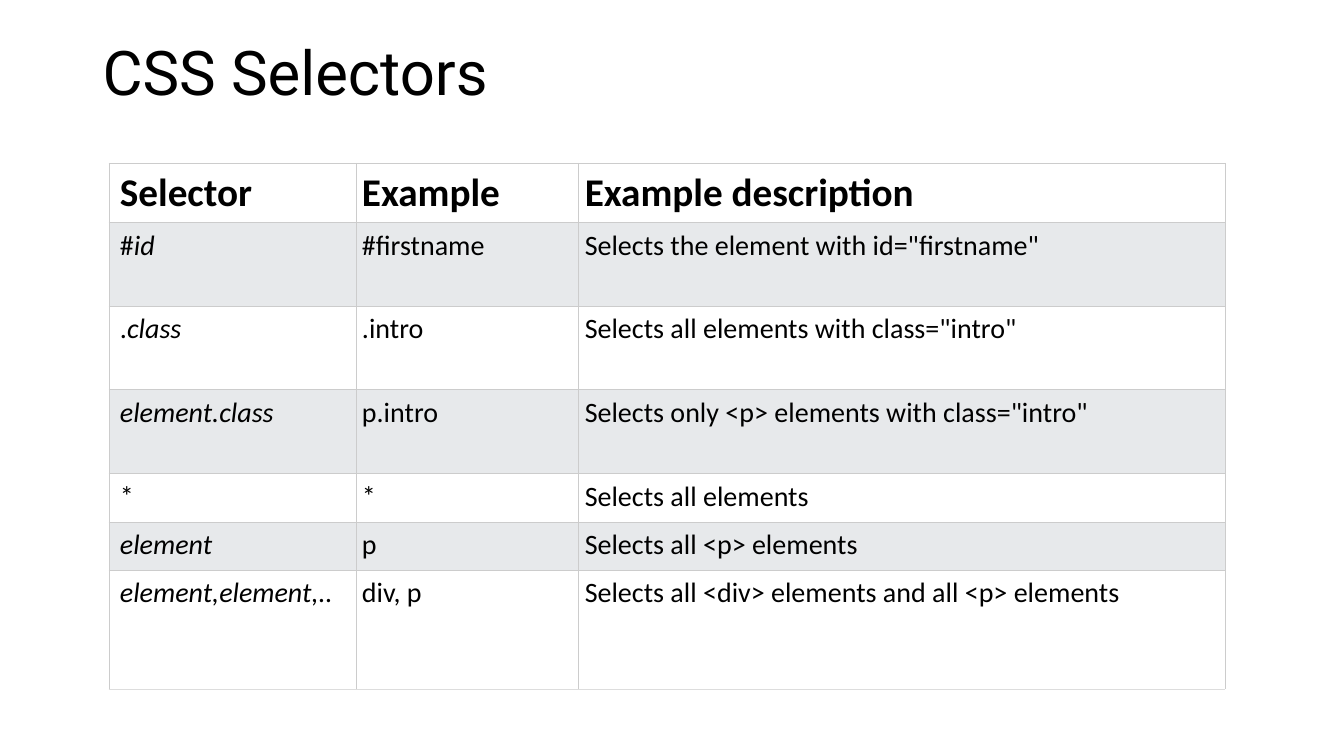
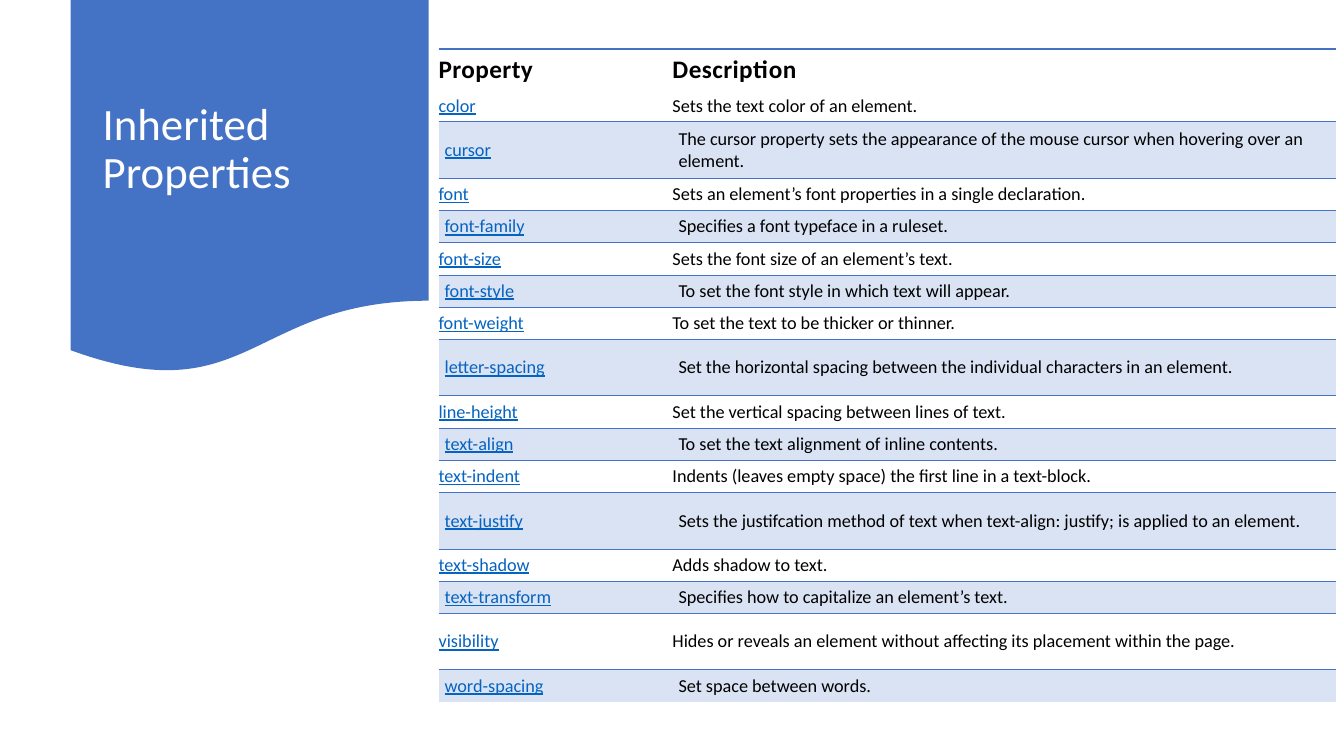
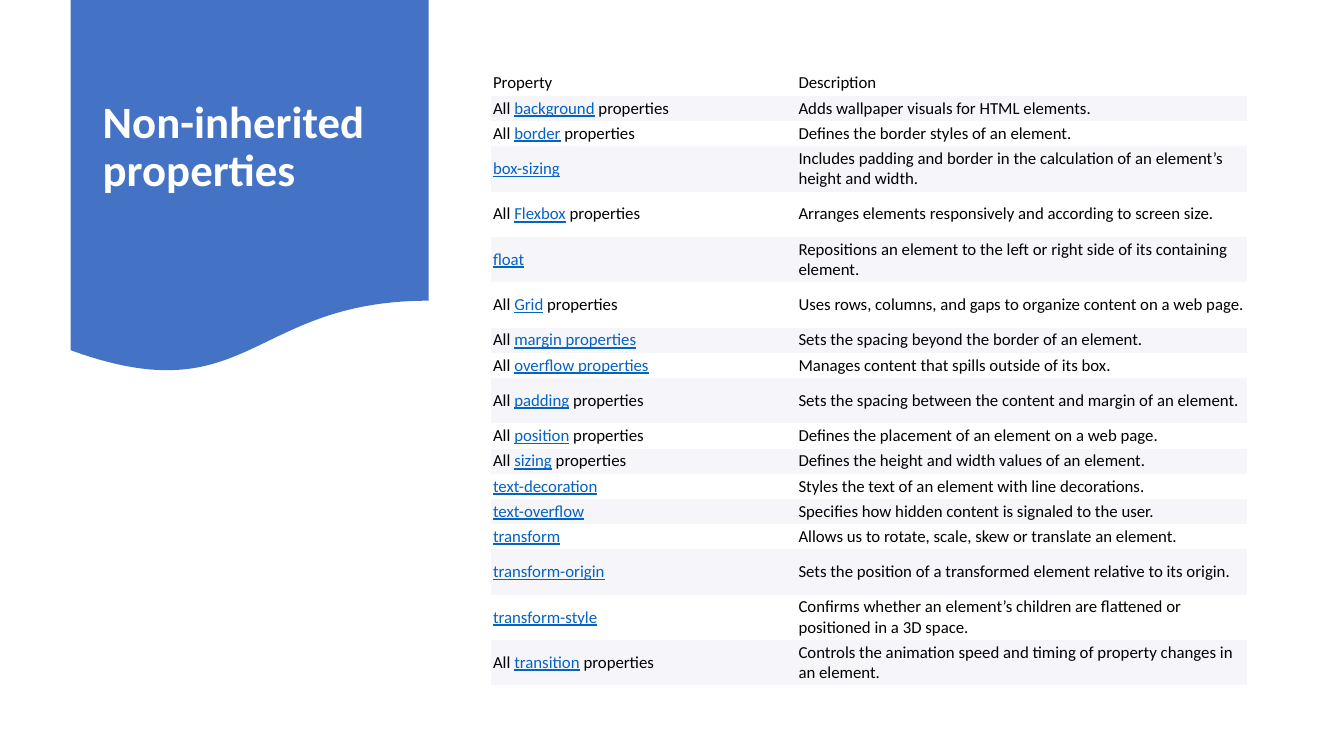
from pptx import Presentation
from pptx import util as u
from pptx.dml.color import RGBColor
from pptx.enum import shapes, text
from pptx.oxml.ns import qn
from lxml import etree

BLUE, BLACK, WHITE, LINK = "4472C4", "000000", "FFFFFF", "0563C1"
GREY, PALE_BLUE, PALE_LILAC = "E7E9EB", "DAE3F3", "F6F5FA"
NO_STYLE = "{2D5ABB26-0587-4C30-8999-92F81FD0307C}"
SIDES = "LRTB"

SELECTORS = [
    ("Selector", "Example", "Example description"),
    ("#[id]", "#firstname", 'Selects the element with id="firstname"'),
    (".[class]", ".intro", 'Selects all elements with class="intro"'),
    ("[element.class]", "p.intro", 'Selects only <p> elements with class="intro"'),
    ("*", "*", "Selects all elements"),
    ("[element]", "p", "Selects all <p> elements"),
    ("[element,element,..]", "div, p", "Selects all <div> elements and all <p> elements"),
]

INHERITED = [
    ("Property", "Description"),
    ("[color]", "Sets the text color of an element."),
    ("[cursor]", "The cursor property sets the appearance of the mouse cursor when hovering over an element."),
    ("[font]", "Sets an element’s font properties in a single declaration."),
    ("[font-family]", "Specifies a font typeface in a ruleset."),
    ("[font-size]", "Sets the font size of an element’s text."),
    ("[font-style]", "To set the font style in which text will appear."),
    ("[font-weight]", "To set the text to be thicker or thinner."),
    ("[letter-spacing]", "Set the horizontal spacing between the individual characters in an element."),
    ("[line-height]", "Set the vertical spacing between lines of text."),
    ("[text-align]", "To set the text alignment of inline contents."),
    ("[text-indent]", "Indents (leaves empty space) the first line in a text-block."),
    ("[text-justify]", "Sets the justifcation method of text when text-align: justify; is applied to an element."),
    ("[text-shadow]", "Adds shadow to text."),
    ("[text-transform]", "Specifies how to capitalize an element’s text."),
    ("[visibility]", "Hides or reveals an element without affecting its placement within the page."),
    ("[word-spacing]", "Set space between words."),
]

NON_INHERITED = [
    ("Property", "Description"),
    ("All [background] properties", "Adds wallpaper visuals for HTML elements."),
    ("All [border] properties", "Defines the border styles of an element."),
    ("[box-sizing]", "Includes padding and border in the calculation of an element’s height and width."),
    ("All [Flexbox] properties", "Arranges elements responsively and according to screen size."),
    ("[float]", "Repositions an element to the left or right side of its containing element."),
    ("All [Grid] properties", "Uses rows, columns, and gaps to organize content on a web page."),
    ("All [margin properties]", "Sets the spacing beyond the border of an element."),
    ("All [overflow properties]", "Manages content that spills outside of its box."),
    ("All [padding] properties", "Sets the spacing between the content and margin of an element."),
    ("All [position] properties", "Defines the placement of an element on a web page."),
    ("All [sizing] properties", "Defines the height and width values of an element."),
    ("[text-decoration]", "Styles the text of an element with line decorations."),
    ("[text-overflow]", "Specifies how hidden content is signaled to the user."),
    ("[transform]", "Allows us to rotate, scale, skew or translate an element."),
    ("[transform-origin]", "Sets the position of a transformed element relative to its origin."),
    ("[transform-style]", "Confirms whether an element’s children are flattened or positioned in a 3D space."),
    ("All [transition] properties", "Controls the animation speed and timing of property changes in an element."),
]


def rgb(value):
    return RGBColor.from_string(value)


def italic(font):
    font.italic = True


def link(font):
    font.underline = True
    font.color.rgb = rgb(LINK)


class Deck:
    def __init__(self):
        self.prs = Presentation()
        self.prs.slide_width, self.prs.slide_height = u.Inches(13.33), u.Inches(7.5)

    def slide(self):
        self.s = self.prs.slides.add_slide(self.prs.slide_layouts[6])

    def style(self, p, size, color=BLACK, name="Calibri", bold=False):
        f = p.font
        f.size, f.name, f.bold = u.Pt(size), name, bold
        f.color.rgb = rgb(color)

    def title(self, words, left, top, width, height, size, **look):
        tf = self.s.shapes.add_textbox(*map(u.Inches, (left, top, width, height))).text_frame
        tf.word_wrap = True
        tf.vertical_anchor = text.MSO_ANCHOR.MIDDLE
        p = tf.paragraphs[0]
        p.text, p.line_spacing = words, 0.9
        self.style(p, size, **look)

    def banner(self, words, top=0.19, bold=False):
        sp = self.s.shapes.add_shape(shapes.MSO_SHAPE.FLOWCHART_DOCUMENT,
                                     *map(u.Inches, (0.7, 0, 3.55, 3.72)))
        sp.shadow.inherit = False
        sp.fill.solid()
        sp.fill.fore_color.rgb = rgb(BLUE)
        sp.line.fill.background()
        self.title(words, 0.92, top, 3.11, 2.59, 32, color=WHITE, bold=bold)

    def table(self, rows, left, top, cols, heights, size, band, accent, inset,
              first_band=1, head_size=None, anchor=text.MSO_ANCHOR.MIDDLE):
        frame = self.s.shapes.add_table(len(rows), len(cols), *map(
            u.Inches, (left, top, sum(cols), sum(heights))))
        tbl = frame.table
        tbl.first_row = tbl.horz_banding = False
        tbl._tbl.tblPr.find(qn("a:tableStyleId")).text = NO_STYLE
        for column, width in zip(tbl.columns, cols):
            column.width = u.Inches(width)
        for i, (row, height) in enumerate(zip(rows, heights)):
            tbl.rows[i].height = u.Inches(height)
            banded = i >= first_band and (i - first_band) % 2 == 0
            for j, words in enumerate(row):
                cell = tbl.cell(i, j)
                cell.vertical_anchor = anchor
                (cell.margin_left, cell.margin_top, cell.margin_right,
                 cell.margin_bottom) = map(u.Inches, inset(i, j))
                cell.fill.solid()
                cell.fill.fore_color.rgb = rgb(band if banded else WHITE)
                p = cell.text_frame.paragraphs[0]
                heading = i == 0 and head_size
                self.style(p, heading or size, bold=bool(heading))
                self.marked(p, words, accent)
        return tbl

    def marked(self, p, words, accent):
        for k, part in enumerate(words.replace("]", "[").split("[")):
            if part:
                r = p.add_run()
                r.text = part
                if k % 2:
                    accent(r.font)

    def border(self, cell, **lines):
        tcPr = cell._tc.get_or_add_tcPr()
        for k, side in enumerate(s for s in SIDES if s in lines):
            color, width = lines[side]
            ln = etree.Element(qn("a:ln" + side), w=str(u.Pt(width)))
            fill = etree.SubElement(ln, qn("a:solidFill"))
            etree.SubElement(fill, qn("a:srgbClr"), val=color)
            tcPr.insert(k, ln)


def heights(rows, low, high, tall):
    return [high if i in tall else low for i in range(len(rows))]


def selectors(d):
    d.slide()
    d.title("CSS Selectors", 0.92, 0.4, 11.5, 0.7, 44, name="Roboto")
    tbl = d.table(SELECTORS, 1.08, 1.62, [2.45, 2.21, 6.41],
                  [0.58, 0.83, 0.83, 0.83, 0.48, 0.48, 1.18], 20, GREY, italic,
                  lambda i, j: (0.06 if j else 0.11, 0.06, 0.06, 0.06),
                  head_size=28, anchor=text.MSO_ANCHOR.TOP)
    last = len(SELECTORS) - 1
    for i, row in enumerate(tbl.rows):
        for cell in row.cells:
            lines = dict.fromkeys(SIDES, ("CCCCCC", 0.5))
            if i == last:
                lines["B"] = ("DDDDDD", 0.5)
            d.border(cell, **lines)


def inherited(d):
    d.slide()
    d.banner("Inherited Properties")
    tbl = d.table(INHERITED, 4.35, 0.49, [2.32, 6.58],
                  [0.4] + heights(INHERITED, 0.32, 0.56, {2, 8, 12, 15})[1:],
                  13, PALE_BLUE, link,
                  lambda i, j: (0.06 if i and i % 2 == 0 else 0, 0.02, 0.03 if i else 0.01, 0.02),
                  first_band=2, head_size=18)
    for i in range(0, len(INHERITED), 2):
        for cell in tbl.rows[i].cells:
            d.border(cell, T=(BLUE, 0.75 if i else 1.5))
    for cell in tbl.rows[0].cells:
        for r in cell.text_frame.paragraphs[0].runs:
            r._r.get_or_add_rPr().set("spc", "30")


def non_inherited(d):
    d.slide()
    d.banner("Non-inherited properties", top=0.17, bold=True)
    d.table(NON_INHERITED, 4.87, 0.7, [3.03, 4.47],
            heights(NON_INHERITED, 0.25, 0.45, {3, 4, 5, 6, 9, 15, 16, 17}),
            12, PALE_LILAC, link, lambda i, j: (0.02, 0.01, 0.02, 0.01))


def main():
    d = Deck()
    for build in (selectors, inherited, non_inherited):
        build(d)
    d.prs.save("out.pptx")


if __name__ == "__main__":
    main()
